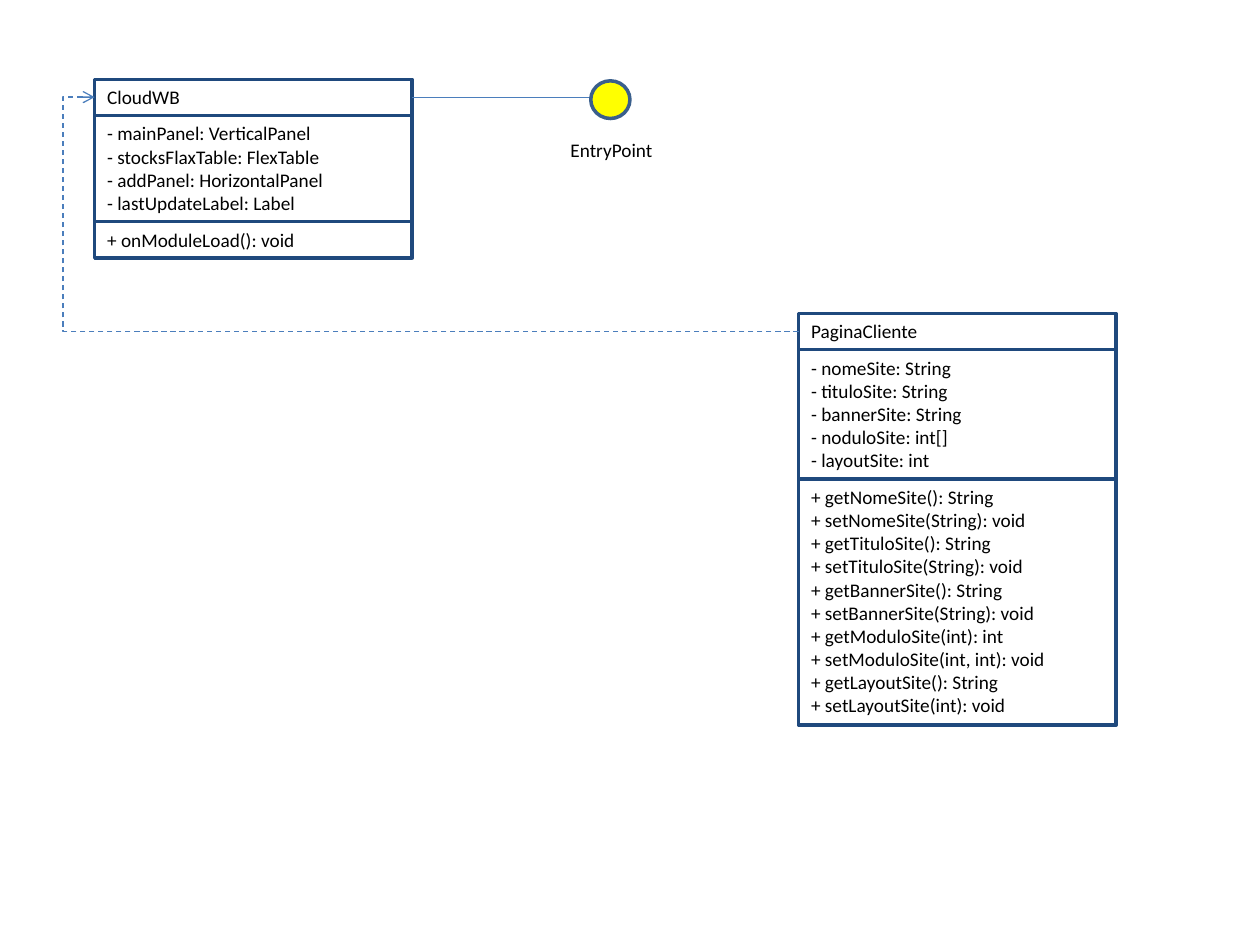
"""Build a UML class diagram slide with two classes and an interface."""
from lxml.etree import SubElement
from pptx import Presentation
from pptx.dml.color import RGBColor
from pptx.enum.dml import MSO_LINE
from pptx.enum.shapes import MSO_CONNECTOR, MSO_SHAPE
from pptx.enum.text import MSO_ANCHOR, MSO_AUTO_SIZE, PP_ALIGN
from pptx.oxml.ns import qn
from pptx.util import Cm, Pt

NAVY = RGBColor(0x1F, 0x49, 0x7D)
BLUE = RGBColor(0x4B, 0x7E, 0xBC)
STEEL = RGBColor(0x3A, 0x5F, 0x8C)
YELLOW = RGBColor(0xFF, 0xFF, 0x00)
BLACK = RGBColor(0, 0, 0)

CLASS_WIDTH = 6.4
LINE_HEIGHT = 0.47
PADDING = 0.26

CLASSES = [
    (1.91, 1.6, [
        ["CloudWB"],
        ["- mainPanel: VerticalPanel", "- stocksFlaxTable: FlexTable",
         "- addPanel: HorizontalPanel", "- lastUpdateLabel: Label"],
        ["+ onModuleLoad(): void"],
    ]),
    (16.1, 6.32, [
        ["PaginaCliente"],
        ["- nomeSite: String", "- tituloSite: String", "- bannerSite: String",
         "- noduloSite: int[]", "- layoutSite: int"],
        ["+ getNomeSite(): String", "+ setNomeSite(String): void",
         "+ getTituloSite(): String", "+ setTituloSite(String): void",
         "+ getBannerSite(): String", "+ setBannerSite(String): void",
         "+ getModuloSite(int): int", "+ setModuloSite(int, int): void",
         "+ getLayoutSite(): String", "+ setLayoutSite(int): void"],
    ]),
]


def write_text(box, lines, wrap=True, size=11, color=BLACK):
    frame = box.text_frame
    frame.word_wrap = wrap
    frame.auto_size = MSO_AUTO_SIZE.SHAPE_TO_FIT_TEXT
    frame.vertical_anchor = MSO_ANCHOR.TOP
    frame.text = "\n".join(lines)
    for para in frame.paragraphs:
        para.alignment = PP_ALIGN.LEFT
        para.font.name = "Calibri"
        para.font.size = Pt(size)
        para.font.color.rgb = color


def add_link(kind, start, end):
    link = slide.shapes.add_connector(kind, *map(Cm, start + end))
    link.line.color.rgb = BLUE
    link.line.width = Pt(0.75)
    SubElement(link.element.spPr, qn("a:effectLst"))
    return link


deck = Presentation()
deck.slide_width, deck.slide_height = Cm(25.4), Cm(19.05)
slide = deck.slides.add_slide(deck.slide_layouts[6])

for left, top, compartments in CLASSES:
    for lines in compartments:
        height = PADDING + LINE_HEIGHT * len(lines)
        box = slide.shapes.add_shape(
            MSO_SHAPE.RECTANGLE, Cm(left), Cm(top), Cm(CLASS_WIDTH), Cm(height))
        box.shadow.inherit = False
        box.fill.background()
        box.line.color.rgb = NAVY
        box.line.width = Pt(2)
        write_text(box, lines)
        top += height

add_link(MSO_CONNECTOR.STRAIGHT, (8.31, 1.96), (11.91, 1.96))

circle = slide.shapes.add_shape(
    MSO_SHAPE.OVAL, Cm(11.91), Cm(1.63), Cm(0.79), Cm(0.76))
circle.shadow.inherit = False
circle.fill.solid()
circle.fill.fore_color.rgb = YELLOW
circle.line.color.rgb = STEEL
circle.line.width = Pt(2)

label = slide.shapes.add_textbox(Cm(11.25), Cm(2.67), Cm(2.18), Cm(0.73))
write_text(label, ["EntryPoint"], wrap=False)

dependency = add_link(MSO_CONNECTOR.ELBOW, (16.1, 6.68), (1.91, 1.96))
dependency.line.dash_style = MSO_LINE.DASH
SubElement(dependency.line._get_or_add_ln(), qn("a:tailEnd"), type="arrow")
guides = dependency.element.spPr.find(qn("a:prstGeom")).get_or_add_avLst()
SubElement(guides, qn("a:gd"), name="adj1", fmla="val 104500")

deck.save("out.pptx")
